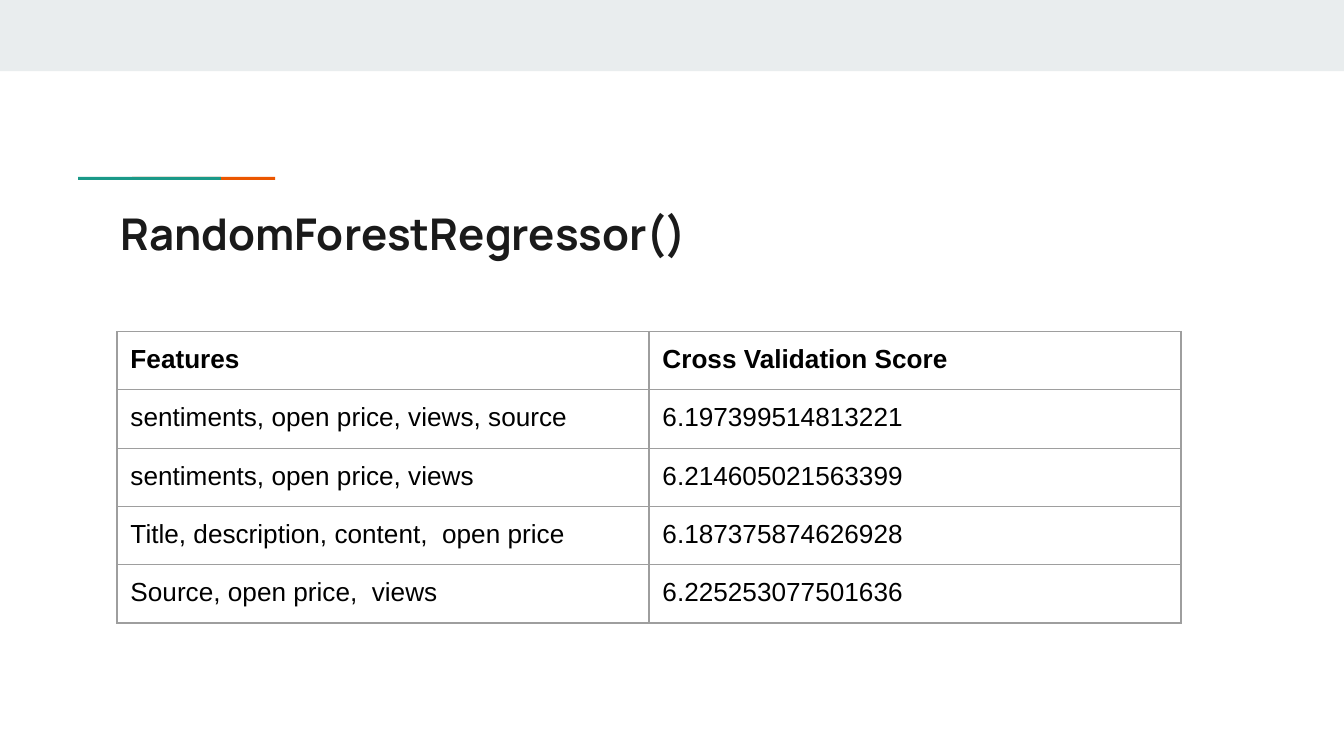
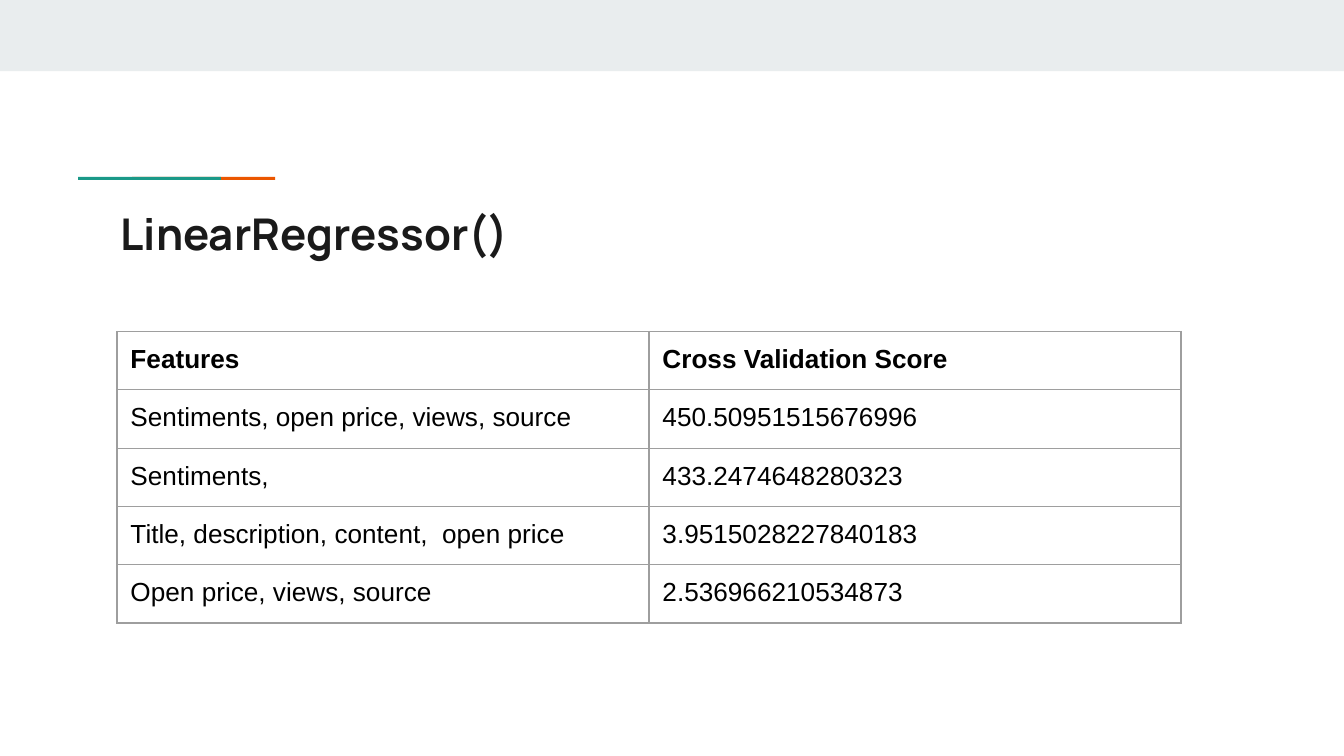
from lxml import etree
from pptx import Presentation
from pptx.dml.color import RGBColor
from pptx.enum.shapes import MSO_SHAPE
from pptx.enum.text import MSO_ANCHOR
from pptx.oxml.ns import qn
from pptx.util import Pt

RECT = MSO_SHAPE.RECTANGLE
MIDDLE = MSO_ANCHOR.MIDDLE
TOP = MSO_ANCHOR.TOP

COLORS = {
    "band": "E9EDEE",
    "orange": "EB5600",
    "teal": "1A9988",
    "title": "1A1A1A",
    "text": "000000",
    "border": "9E9E9E",
}
WIDTH, HEIGHT = 720, 405
INSET = 7.2
BORDER = 0.75

TITLE_FONT = {"name": "Manrope", "size": Pt(23.4), "bold": True}
HEADER_FONT = {"name": "Arial", "size": Pt(14), "bold": True}
BODY_FONT = {**HEADER_FONT, "bold": False}
MARGINS = {f"margin_{side}": Pt(INSET) for side in ("left", "top", "right", "bottom")}

BAND_BOX = (0, 0, WIDTH, 38.2)
ACCENT_BOX = (41.8, 94.8, 105.6, 1.6)
TITLE_BOX = (57.5, 103.7, 605.5, 42.5)
TABLE_BOX = (62.7, 177.6, 570, 150.5)

HEADER = ("Features", "Cross Validation Score")
SLIDES = [
    ("RandomForestRegressor()", [
        ("sentiments, open price, views, source", "6.197399514813221"),
        ("sentiments, open price, views", "6.214605021563399"),
        ("Title, description, content,  open price", "6.187375874626928"),
        ("Source, open price,  views", "6.225253077501636"),
    ]),
    ("LinearRegressor()", [
        ("Sentiments, open price, views, source", "450.50951515676996"),
        ("Sentiments,", "433.2474648280323"),
        ("Title, description, content,  open price", "3.9515028227840183"),
        ("Open price, views, source", "2.536966210534873"),
    ]),
]


def set_attrs(obj, values):
    for name, value in values.items():
        setattr(obj, name, value)


def rgb(color):
    return RGBColor.from_string(COLORS[color])


def write(p, text, font, color):
    r = p.add_run()
    r.text = text
    set_attrs(r.font, font)
    r.font.color.rgb = rgb(color)


def add_bar(slide, box, color):
    sp = slide.shapes.add_shape(RECT, *map(Pt, box))
    sp.shadow.inherit = False
    sp.fill.solid()
    sp.fill.fore_color.rgb = rgb(color)
    sp.line.fill.background()


def add_accent(slide, box):
    """Two bars of equal length, the teal one overlapping the orange one."""
    x, y, w, h = box
    length = w * 0.725
    add_bar(slide, (x + w - length, y, length, h), "orange")
    add_bar(slide, (x, y, length, h), "teal")


def add_title(slide, box, text):
    tf = slide.shapes.add_textbox(*map(Pt, box)).text_frame
    set_attrs(tf, {**MARGINS, "word_wrap": True, "vertical_anchor": MIDDLE})
    write(tf.paragraphs[0], text, TITLE_FONT, "title")


def add_borders(cell):
    tc_pr = cell._tc.get_or_add_tcPr()
    for i, side in enumerate(("lnL", "lnR", "lnT", "lnB")):
        ln = etree.Element(qn(f"a:{side}"), w=str(Pt(BORDER)))
        fill = etree.SubElement(ln, qn("a:solidFill"))
        etree.SubElement(fill, qn("a:srgbClr"), val=COLORS["border"])
        tc_pr.insert(i, ln)


def add_score_table(slide, box, rows):
    x, y, w, h = box
    table = slide.shapes.add_table(len(rows), len(rows[0]), *map(Pt, box)).table
    set_attrs(table, {"first_row": False, "horz_banding": False})
    for col in table.columns:
        col.width = Pt(w / len(rows[0]))
    for i, values in enumerate(rows):
        table.rows[i].height = Pt(h / len(rows))
        font = BODY_FONT if i else HEADER_FONT
        for j, text in enumerate(values):
            cell = table.cell(i, j)
            set_attrs(cell, {**MARGINS, "vertical_anchor": TOP})
            cell.fill.background()
            add_borders(cell)
            write(cell.text_frame.paragraphs[0], text, font, "text")


def add_score_slide(prs, title, scores):
    slide = prs.slides.add_slide(prs.slide_layouts[6])
    add_bar(slide, BAND_BOX, "band")
    add_accent(slide, ACCENT_BOX)
    add_title(slide, TITLE_BOX, title)
    add_score_table(slide, TABLE_BOX, [HEADER, *scores])


def main():
    prs = Presentation()
    set_attrs(prs, {"slide_width": Pt(WIDTH), "slide_height": Pt(HEIGHT)})
    for title, scores in SLIDES:
        add_score_slide(prs, title, scores)
    prs.save("out.pptx")


if __name__ == "__main__":
    main()
